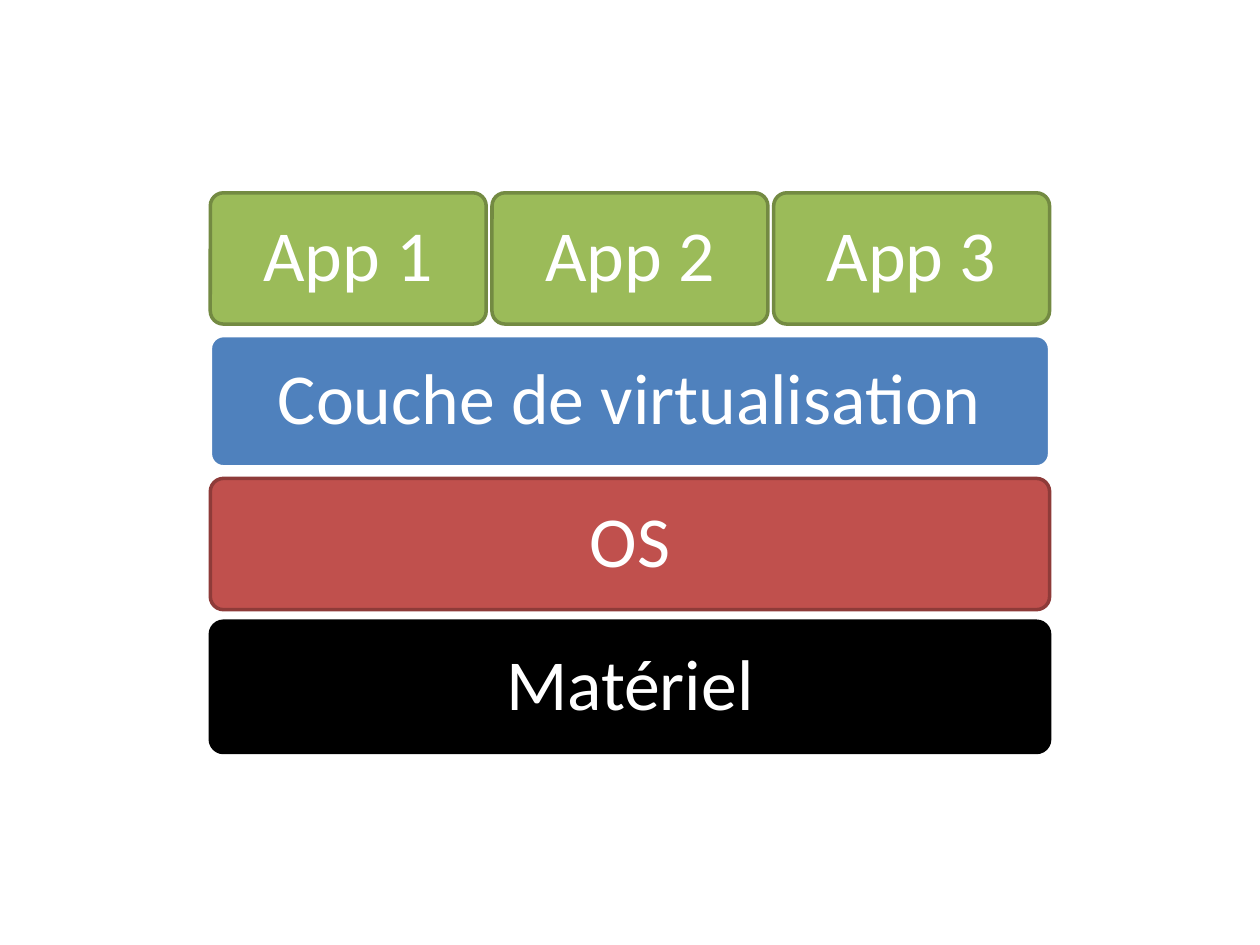
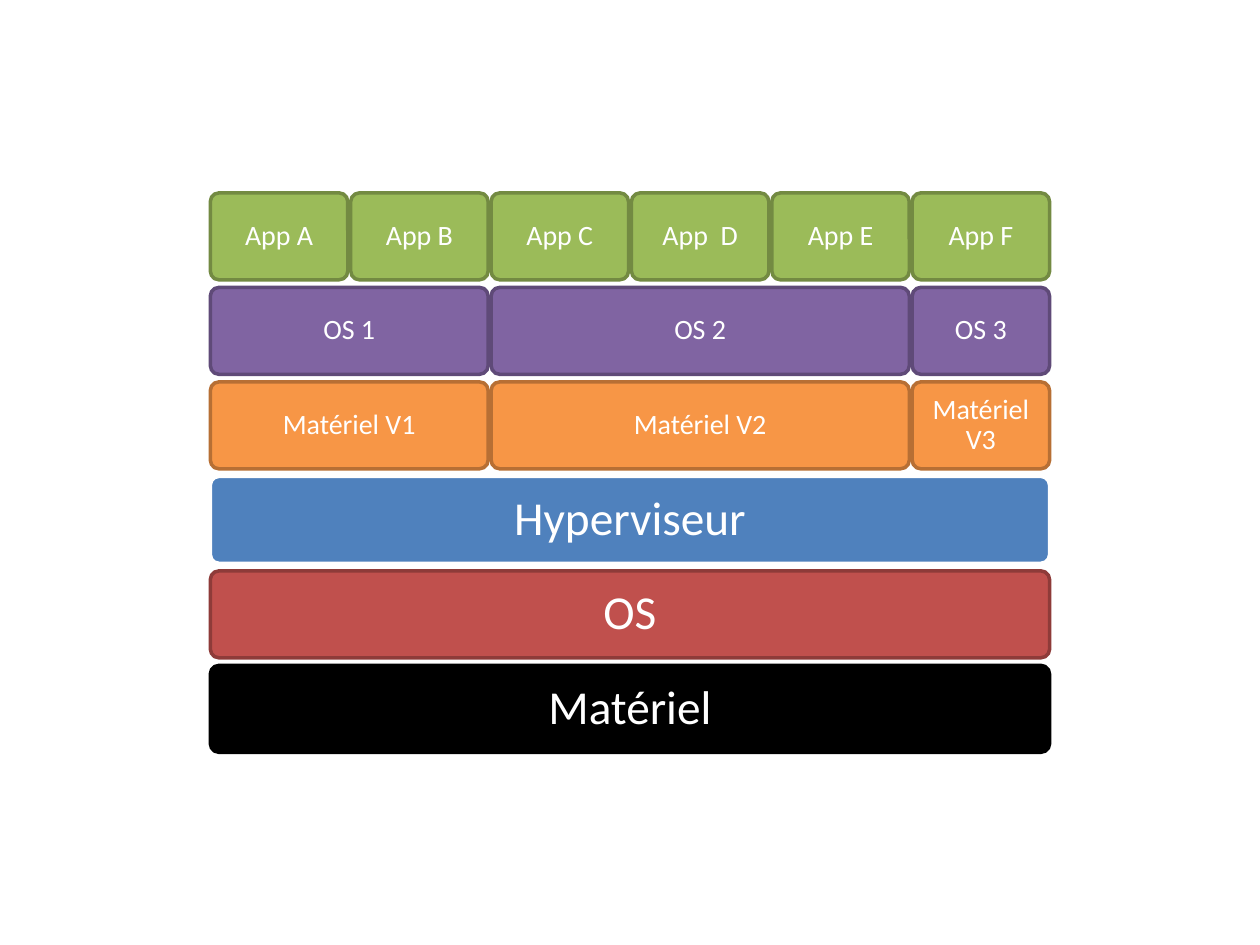
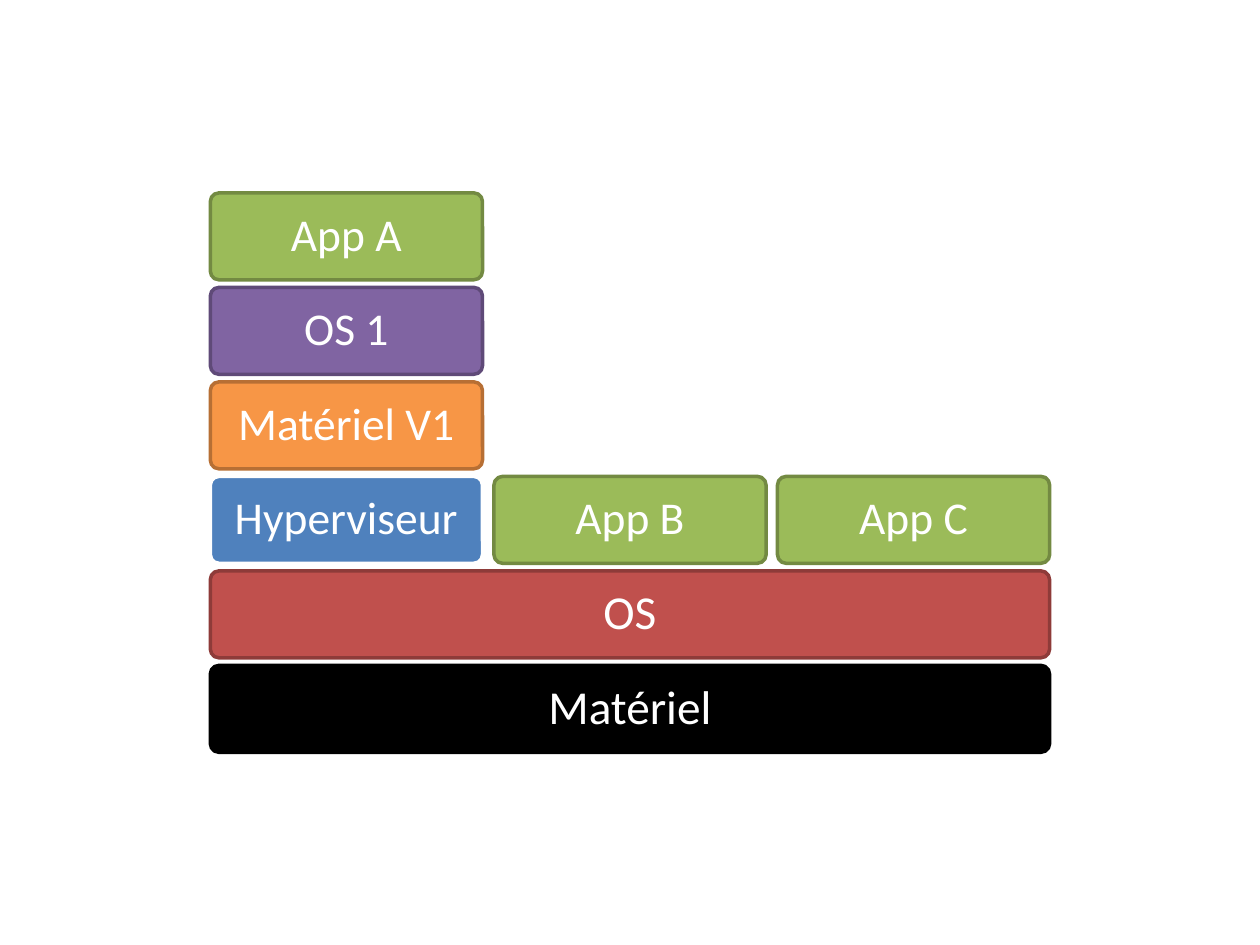
import pptx
import pptx.util
import pptx.dml.color
import pptx.enum.shapes
import pptx.enum.text

Pt = pptx.util.Pt
RGB = pptx.dml.color.RGBColor.from_string

FONT = "Calibri"
LEFT, TOP, WIDE = 120.2, 110.2, 479.6
COLORS = {
    "text": "FFFFFF",
    "metal": "000000", "metal edge": "000000",
    "host": "C0504D", "host edge": "8E3B39",
    "layer": "4F81BD", "layer edge": "FFFFFF",
    "virtual": "F79646", "virtual edge": "B76F34",
    "guest": "8064A2", "guest edge": "5F4A78",
    "app": "9BBB59", "app edge": "738A42",
}

STACKS = [
    {"cols": 3, "gap": 3.3, "pitch": 81.6, "high": 75, "cells": [
        (3, 0, 3, "metal", 41, "Matériel"),
        (2, 0, 3, "host", 41, "OS"),
        (1, 0, 3, "layer", 41, "Couche de virtualisation"),
        *[(0, col, 1, "app", 41, f"App {col + 1}") for col in range(3)],
    ]},
    {"cols": 6, "gap": 1.65, "pitch": 54, "high": 49.7, "cells": [
        (5, 0, 6, "metal", 27, "Matériel"),
        (4, 0, 6, "host", 27, "OS"),
        (3, 0, 6, "layer", 27, "Hyperviseur"),
        *[(row, col, span, kind, 16, f"{name}{num}")
          for num, (col, span) in enumerate([(0, 2), (2, 3), (5, 1)], 1)
          for row, kind, name in [(2, "virtual", "Matériel V"), (1, "guest", "OS ")]],
        *[(0, col, 1, "app", 16, name) for col, name in
          enumerate(["App A", "App B", "App C", "App  D", "App E", "App F"])],
    ]},
    {"cols": 3, "gap": 6.5, "pitch": 54, "high": 49.7, "cells": [
        (5, 0, 3, "metal", 27, "Matériel"),
        (4, 0, 3, "host", 27, "OS"),
        (3, 0, 1, "layer", 26, "Hyperviseur"),
        (2, 0, 1, "virtual", 26, "Matériel V1"),
        (1, 0, 1, "guest", 26, "OS 1"),
        (0, 0, 1, "app", 26, "App A"),
        (3, 1, 1, "app", 26, "App B"),
        (3, 2, 1, "app", 26, "App C"),
    ]},
]

deck = pptx.Presentation()
deck.slide_width, deck.slide_height = Pt(720), Pt(540)

for stack in STACKS:
    slide = deck.slides.add_slide(deck.slide_layouts[6])
    step = (WIDE + stack["gap"]) / stack["cols"]
    for row, col, span, kind, size, text in stack["cells"]:
        block = slide.shapes.add_shape(
            pptx.enum.shapes.MSO_SHAPE.ROUNDED_RECTANGLE,
            Pt(LEFT + col * step), Pt(TOP + row * stack["pitch"]),
            Pt(span * step - stack["gap"]), Pt(stack["high"]))
        block.adjustments[0] = 0.1
        block.shadow.inherit = False
        block.fill.solid()
        block.fill.fore_color.rgb = RGB(COLORS[kind])
        block.line.color.rgb = RGB(COLORS[kind + " edge"])
        block.line.width = Pt(2)
        frame = block.text_frame
        frame.word_wrap = True
        frame.vertical_anchor = pptx.enum.text.MSO_ANCHOR.MIDDLE
        inset = Pt(size * 0.3)
        frame.margin_left = frame.margin_right = inset
        frame.margin_top = frame.margin_bottom = inset
        para = frame.paragraphs[0]
        para.text = text
        para.alignment = pptx.enum.text.PP_ALIGN.CENTER
        para.line_spacing = 0.9
        para.font.name = FONT
        para.font.size = Pt(size)
        para.font.color.rgb = RGB(COLORS["text"])

deck.save("out.pptx")
